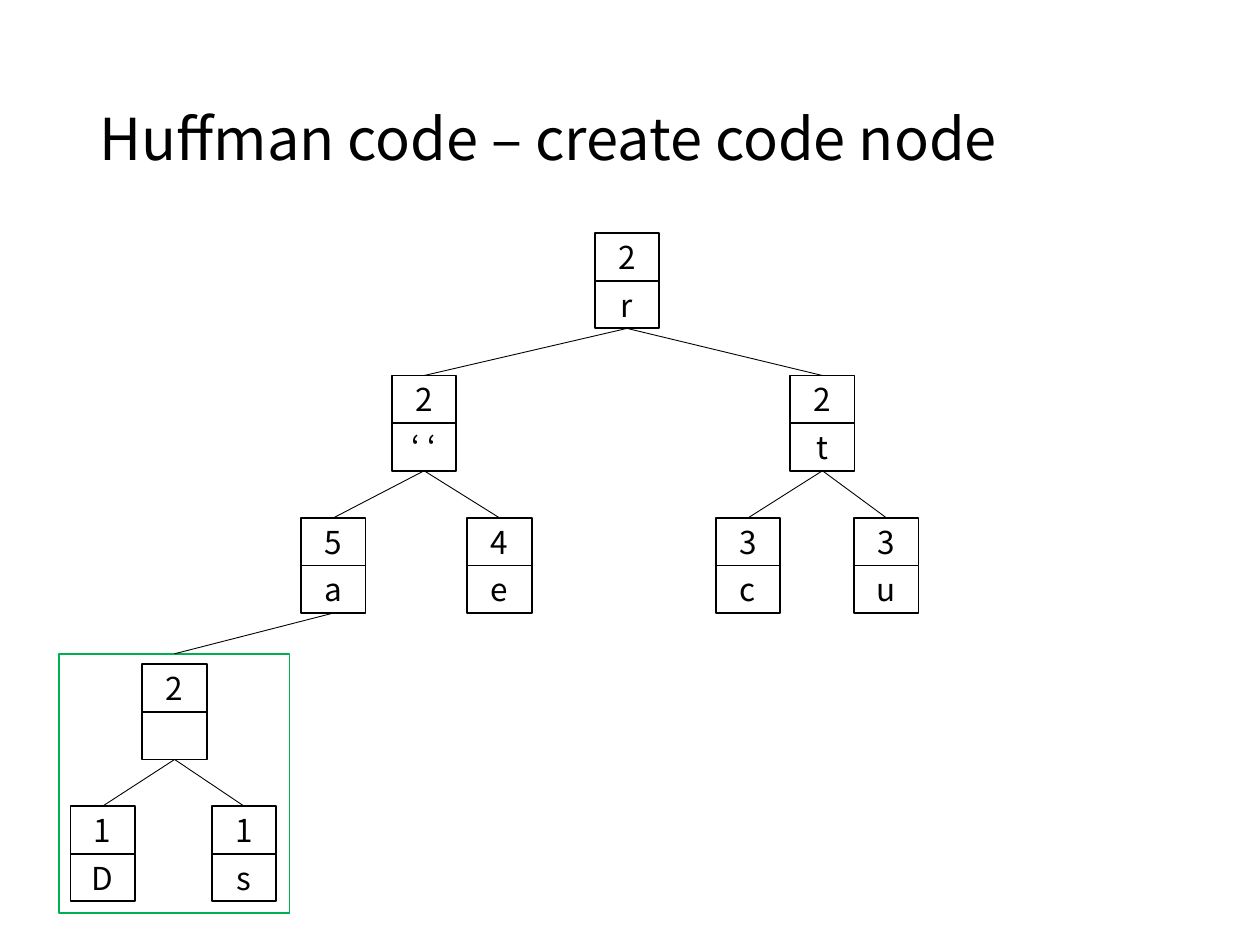
import pptx
import pptx.util
import pptx.dml.color
import pptx.enum.shapes
import pptx.enum.text
import lxml.etree
from pptx.util import Cm

COLOURS = {"ink": "000000", "paper": "FFFFFF", "frame": "00B050"}
FONT = "Noto Sans CJK KR"
NODE_WIDTH, CELL_HEIGHT = 1.3, 0.96
LEVELS = [4.7, 7.57, 10.44, 13.39, 16.25]
TOP_SITE, BOTTOM_SITE = 0, 2

# name: (left, level, count, symbol)
MAIN_NODES = {
    "root": (11.99, 0, "2", "r"),
    "space": (7.9, 1, "2", "‘ ‘"),
    "t": (15.93, 1, "2", "t"),
    "a": (6.07, 2, "5", "a"),
    "e": (9.42, 2, "4", "e"),
    "c": (14.43, 2, "3", "c"),
    "u": (17.22, 2, "3", "u"),
}
NEW_NODES = {
    "joint": (2.87, 3, "2", ""),
    "D": (1.42, 4, "1", "D"),
    "s": (4.27, 4, "1", "s"),
}
MAIN_EDGES = [("root", "space"), ("root", "t"), ("space", "a"),
              ("space", "e"), ("t", "c"), ("t", "u")]
NEW_EDGES = [("joint", "D"), ("joint", "s")]


def colour(name):
    """Return the named colour as an RGBColor."""
    return pptx.dml.color.RGBColor.from_string(COLOURS[name])


def format_para(para, size, align):
    """Align a paragraph and set the font of its runs."""
    para.alignment = align
    for span in para.runs:
        span.font.size = pptx.util.Pt(size)
        span.font.name = FONT
        span.font.color.rgb = colour("ink")
        east_asian = lxml.etree.SubElement(
            span.font._element, pptx.oxml.ns.qn("a:ea"))
        east_asian.set("typeface", FONT)


def add_title(page, text):
    """Place and format the title placeholder."""
    title = page.shapes.title
    title.left, title.top = Cm(1.75), Cm(1.02)
    title.width, title.height = Cm(21.9), Cm(3.68)
    frame = title.text_frame
    frame.text = text
    frame.auto_size = pptx.enum.text.MSO_AUTO_SIZE.NONE
    frame.vertical_anchor = pptx.enum.text.MSO_ANCHOR.MIDDLE
    para = frame.paragraphs[0]
    para.line_spacing = 0.9
    format_para(para, 33, pptx.enum.text.PP_ALIGN.LEFT)


def add_box(shapes, left, top, width, height, line, fill=None):
    """Add an outlined rectangle, unfilled unless a fill is named."""
    box = shapes.add_shape(pptx.enum.shapes.MSO_SHAPE.RECTANGLE,
                           Cm(left), Cm(top), Cm(width), Cm(height))
    box.shadow.inherit = False
    box.line.color.rgb = colour(line)
    box.line.width = pptx.util.Pt(1)
    if fill:
        box.fill.solid()
        box.fill.fore_color.rgb = colour(fill)
    else:
        box.fill.background()
    return box


def add_node(shapes, left, level, count, symbol):
    """Stack a count cell on a symbol cell and return both."""
    cells = []
    for row, text in enumerate((count, symbol)):
        cell = add_box(shapes, left, LEVELS[level] + row * CELL_HEIGHT,
                       NODE_WIDTH, CELL_HEIGHT, "ink", "paper")
        frame = cell.text_frame
        frame.text = text
        frame.vertical_anchor = pptx.enum.text.MSO_ANCHOR.MIDDLE
        format_para(frame.paragraphs[0], 18, pptx.enum.text.PP_ALIGN.CENTER)
        cells.append(cell)
    return cells


def add_edge(shapes, parent, child):
    """Link the bottom of one box to the top of another."""
    edge = shapes.add_connector(
        pptx.enum.shapes.MSO_CONNECTOR.STRAIGHT,
        parent.left + parent.width // 2, parent.top + parent.height,
        child.left + child.width // 2, child.top)
    edge.begin_connect(parent, BOTTOM_SITE)
    edge.end_connect(child, TOP_SITE)
    edge.line.color.rgb = colour("ink")
    edge.line.width = pptx.util.Pt(0.5)
    lxml.etree.SubElement(edge._element.spPr, pptx.oxml.ns.qn("a:effectLst"))


def add_edges(shapes, nodes, edges):
    """Link every parent node to its child."""
    for parent, child in edges:
        add_edge(shapes, nodes[parent][1], nodes[child][0])


def add_main_tree(page):
    """Draw the existing tree and return its nodes."""
    nodes = {name: add_node(page.shapes.add_group_shape().shapes, *values)
             for name, values in MAIN_NODES.items()}
    add_edges(page.shapes, nodes, MAIN_EDGES)
    return nodes


def add_new_subtree(page):
    """Draw the framed new subtree and return its frame."""
    shapes = page.shapes.add_group_shape().shapes
    frame = add_box(shapes, 1.19, 13.18, 4.65, 5.23, "frame")
    nodes = {name: add_node(shapes, *values)
             for name, values in NEW_NODES.items()}
    add_edges(shapes, nodes, NEW_EDGES)
    return frame


def main():
    """Build and save the slide."""
    deck = pptx.Presentation()
    deck.slide_width, deck.slide_height = Cm(25.4), Cm(19.05)
    page = deck.slides.add_slide(deck.slide_layouts.get_by_name("Title Only"))
    add_title(page, "Huffman code – create code node")
    nodes = add_main_tree(page)
    frame = add_new_subtree(page)
    add_edge(page.shapes, nodes["a"][1], frame)
    deck.save("out.pptx")


main()
